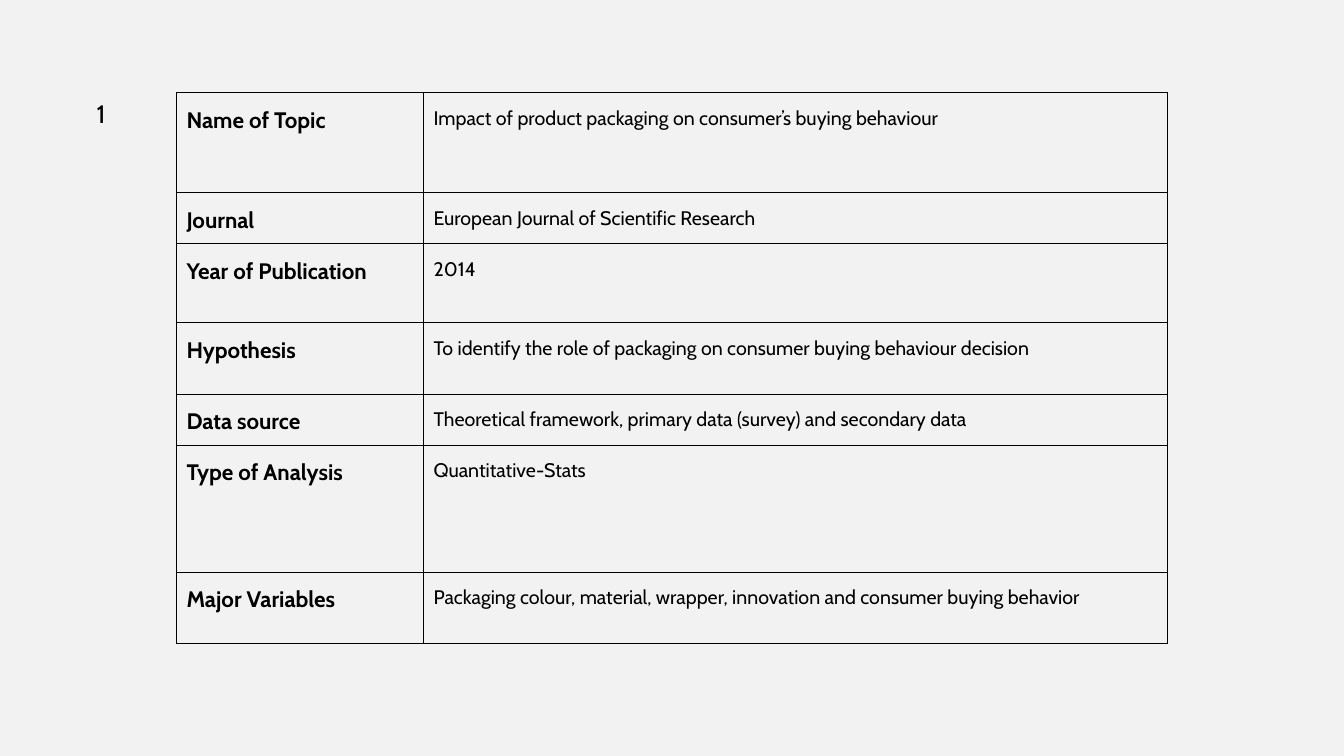
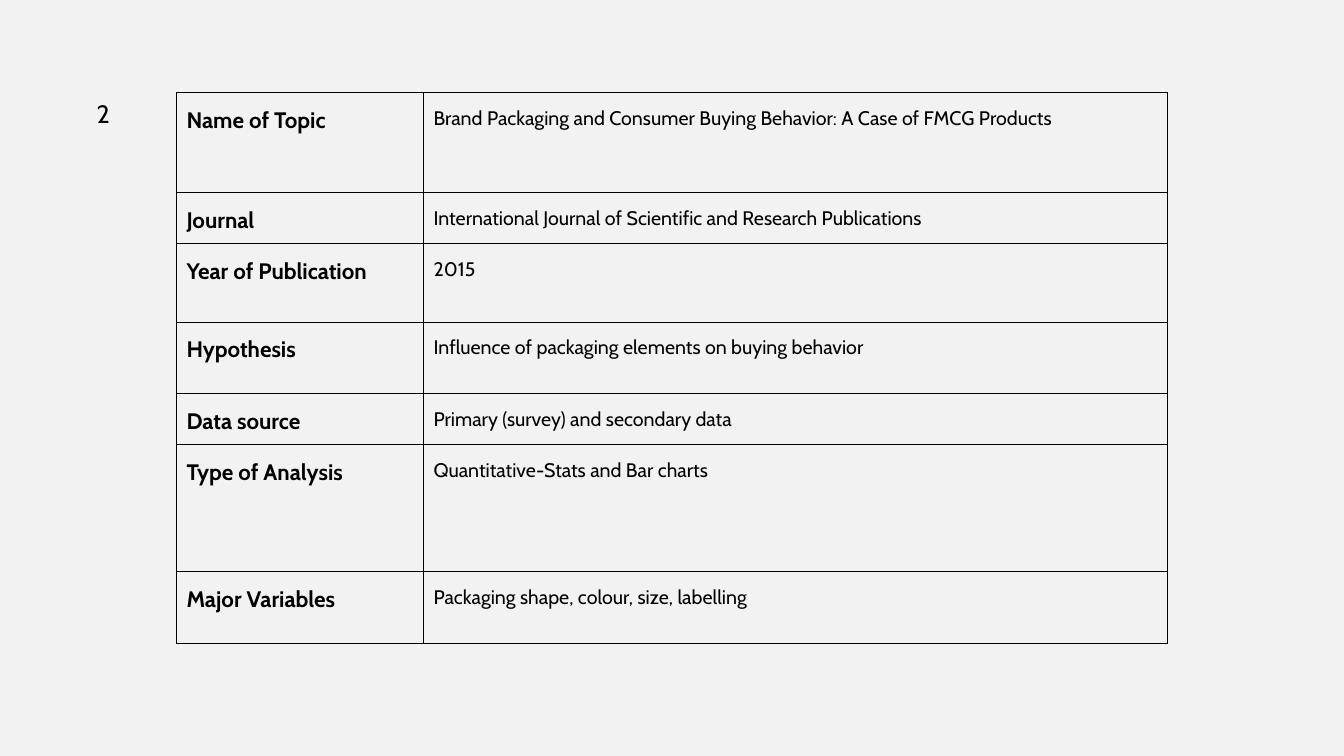
from lxml import etree
from pptx import Presentation
from pptx.dml.color import RGBColor
from pptx.enum.text import MSO_AUTO_SIZE
from pptx.oxml.ns import qn
from pptx.util import Inches, Pt

FIT = MSO_AUTO_SIZE.SHAPE_TO_FIT_TEXT

# Shared look
PAPER = RGBColor(0xF2, 0xF2, 0xF2)
INK = RGBColor(0, 0, 0)
FACE = "Cabin"
HEAD = {"size": Pt(16), "bold": True}
BODY = {"size": Pt(14), "bold": False}
MARK = {"size": Pt(18)}
RULE = Pt(0.75)

# Slide size and table grid, in inches
WIDE, HIGH = 13.33, 7.5
LEFT, TOP = 1.75, 0.92
COLS = [2.45, 7.38]
ROWS = [0.99, 0.47, 0.78, 0.71, 0.47, 1.26, 0.71]
PAD = Inches(0.1)

# Content
LABELS = ["Name of Topic", "Journal", "Year of Publication", "Hypothesis",
          "Data source", "Type of Analysis", "Major Variables"]
STUDIES = [
    ["Impact of product packaging on consumer’s buying behaviour",
     "European Journal of Scientific Research",
     "2014",
     "To identify the role of packaging on consumer buying behaviour decision",
     "Theoretical framework, primary data (survey) and secondary data",
     "Quantitative-Stats",
     "Packaging colour, material, wrapper, innovation and consumer buying behavior"],
    ["Brand Packaging and Consumer Buying Behavior: A Case of FMCG Products",
     "International Journal of Scientific and Research Publications",
     "2015",
     "Influence of packaging elements on buying behavior",
     "Primary (survey) and secondary data",
     "Quantitative-Stats and Bar charts",
     "Packaging shape, colour, size, labelling"],
]


def write(frame, text, style):
    """Put one styled line into a text frame and return its paragraph."""
    para = frame.paragraphs[0]
    run = para.add_run()
    run.text = text
    run.font.color.rgb = INK
    for name, value in {"name": FACE, **style}.items():
        setattr(run.font, name, value)
    return para


def frame_cell(cell):
    """Draw a thin rule on all four sides of a cell."""
    props = cell._tc.get_or_add_tcPr()
    for side in ("a:lnL", "a:lnR", "a:lnT", "a:lnB"):
        line = etree.SubElement(props, qn(side), w=str(RULE))
        fill = etree.SubElement(line, qn("a:solidFill"))
        etree.SubElement(fill, qn("a:srgbClr"), val=str(INK))


def fill_cell(cell, text, style):
    """Pad, frame and fill one table cell."""
    for side in ("left", "right", "top", "bottom"):
        setattr(cell, f"margin_{side}", PAD)
    frame_cell(cell)
    cell.fill.background()
    write(cell.text_frame, text, style).line_spacing = 1.15


def add_grid(slide, facts):
    """Add the table of labels and facts."""
    box = [Inches(n) for n in (LEFT, TOP, sum(COLS), sum(ROWS))]
    table = slide.shapes.add_table(len(ROWS), len(COLS), *box).table
    table.first_row = table.horz_banding = False
    for col, width in zip(table.columns, COLS):
        col.width = Inches(width)
    for row, height, label, fact in zip(table.rows, ROWS, LABELS, facts):
        row.height = Inches(height)
        fill_cell(row.cells[0], label, HEAD)
        fill_cell(row.cells[1], fact, BODY)


def add_mark(slide, number):
    """Add the study number beside the table."""
    box = [Inches(n) for n in (0.86, 0.93, 0.33, 0.4)]
    frame = slide.shapes.add_textbox(*box).text_frame
    frame.word_wrap = False
    frame.auto_size = FIT
    write(frame, str(number), MARK)


def main():
    deck = Presentation()
    deck.slide_width, deck.slide_height = Inches(WIDE), Inches(HIGH)
    paper = deck.slide_master.background.fill
    paper.solid()
    paper.fore_color.rgb = PAPER
    blank = deck.slide_layouts.get_by_name("Blank")
    for number, facts in enumerate(STUDIES, 1):
        slide = deck.slides.add_slide(blank)
        add_grid(slide, facts)
        add_mark(slide, number)
    deck.save("out.pptx")


if __name__ == "__main__":
    main()
